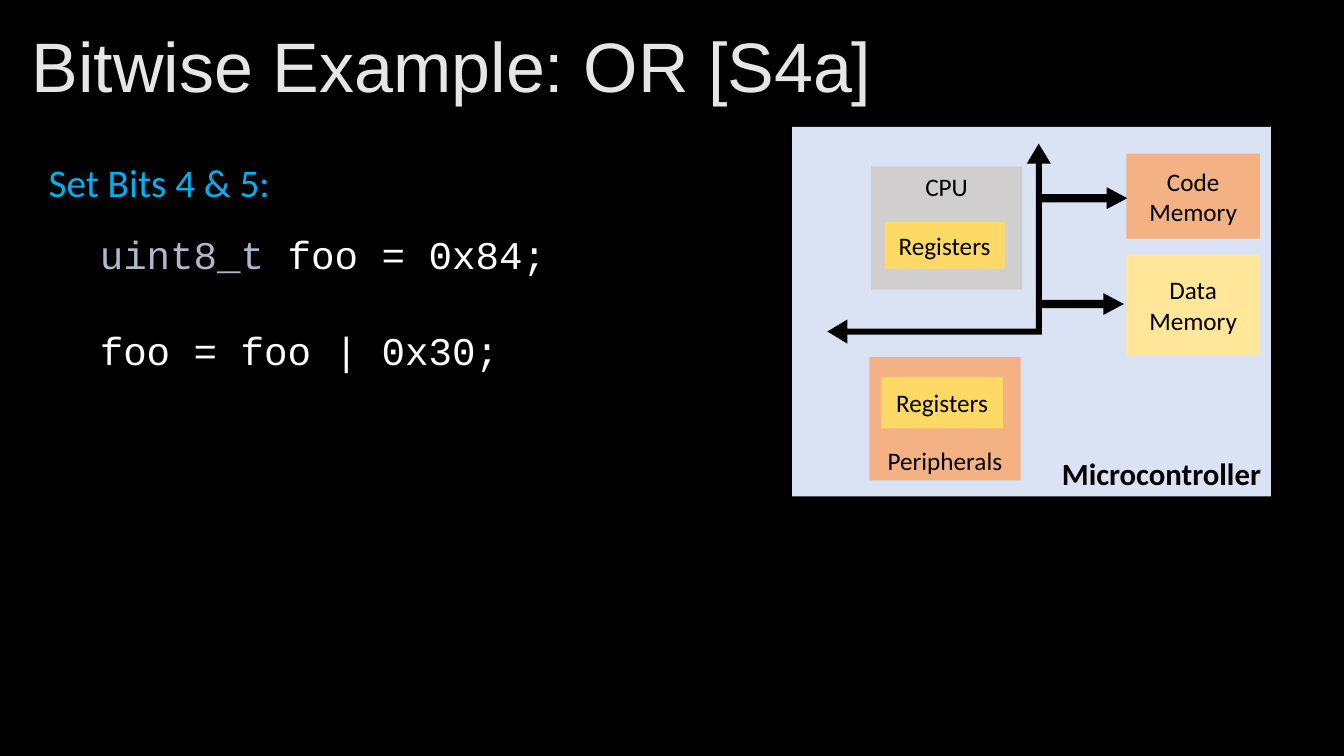
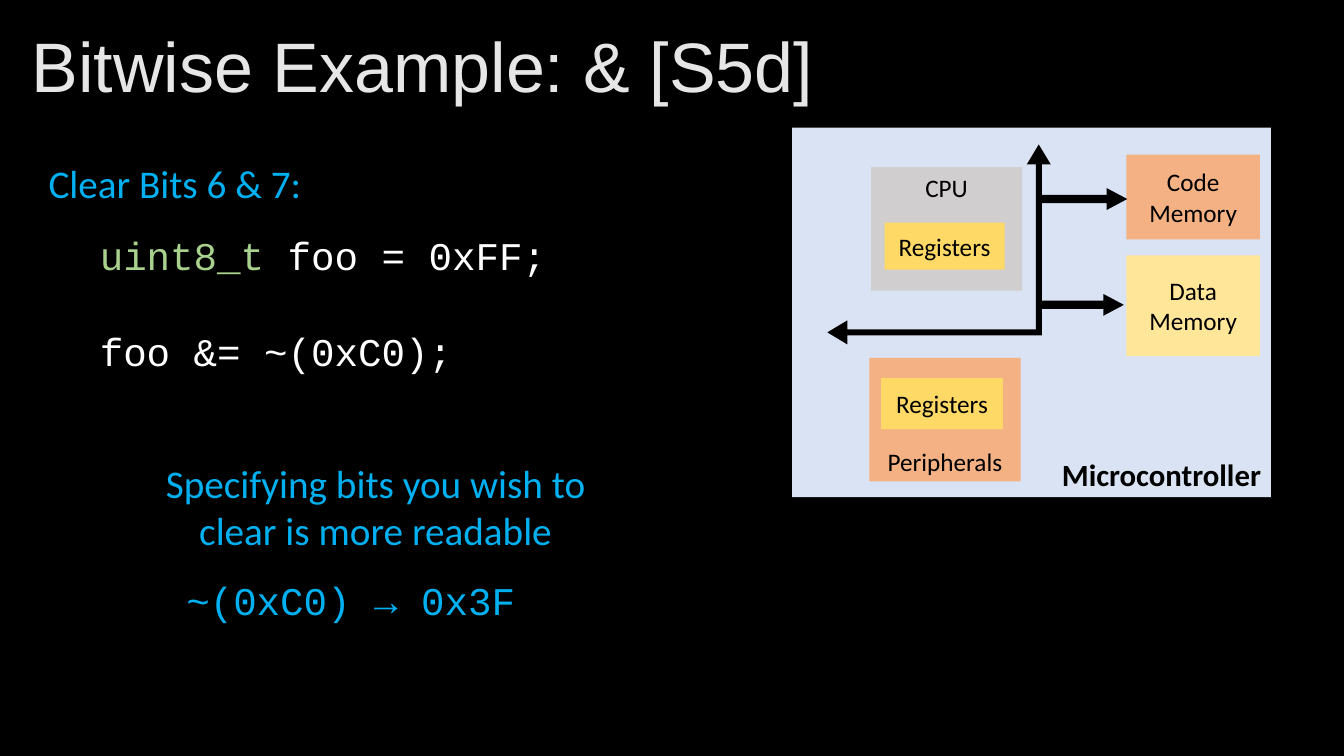
from pptx import Presentation
from pptx.dml.color import RGBColor
from pptx.enum.shapes import MSO_SHAPE
from pptx.enum.text import MSO_ANCHOR, PP_ALIGN
from pptx.util import Inches, Pt

RECT, ARROW, BUS = MSO_SHAPE.RECTANGLE, MSO_SHAPE.RIGHT_ARROW, MSO_SHAPE.LEFT_UP_ARROW
TOP, MIDDLE, BOTTOM = MSO_ANCHOR.TOP, MSO_ANCHOR.MIDDLE, MSO_ANCHOR.BOTTOM
LEFT, CENTER, RIGHT = PP_ALIGN.LEFT, PP_ALIGN.CENTER, PP_ALIGN.RIGHT

COLS, ROWS = 160, 90  # square cells, twelve to the inch
CELL = Inches(1) // 12
SANS, BODY, MONO = "Arial", "Calibri", "Courier New"
BLACK, WHITE, PALE, CYAN = "000000", "FFFFFF", "E7E6E6", "00B0F0"
PANEL, ORANGE, GRAY = "DAE3F3", "F4B183", "D0CECE"
CREAM, GOLD = "FFE699", "FFD966"
PANEL_X = 94.3


def color(text):
    return RGBColor.from_string(text)


def place(*cells):
    return [round(n * CELL) for n in cells]


def write(shape, lines, size=28, font=BODY, ink=BLACK, bold=False,
          align=LEFT, anchor=TOP, gap=0, pitch=None):
    """Fill a shape with lines, each a string or a list of (text, ink) runs."""
    frame = shape.text_frame
    frame.word_wrap = True
    frame.vertical_anchor = anchor
    for i, line in enumerate(lines):
        para = frame.add_paragraph() if i else frame.paragraphs[0]
        para.alignment = align
        para.space_before = Pt(gap if i else 0)
        if pitch:
            para.line_spacing = pitch
        for text, hue in [(line, ink)] if isinstance(line, str) else line:
            run = para.add_run()
            run.text = text
            run.font.name, run.font.size, run.font.bold = font, Pt(size), bold
            run.font.color.rgb = color(hue)


def label(slide, box, lines, **style):
    write(slide.shapes.add_textbox(*place(*box)), lines, **style)


def block(group, box, fill, text="", kind=RECT, adjust=(), **style):
    shape = group.shapes.add_shape(kind, *place(*box))
    shape.shadow.inherit = False
    shape.fill.solid()
    shape.fill.fore_color.rgb = color(fill)
    shape.line.fill.background()
    for i, value in enumerate(adjust):
        shape.adjustments[i] = value
    if text:
        write(shape, [text], **{"size": 18, "align": CENTER, "anchor": MIDDLE, **style})


def chip(slide, top):
    """Draw the microcontroller diagram from the given row down."""
    group = slide.shapes.add_group_shape()

    def part(x, y, wide, high, *args, **style):
        block(group, (PANEL_X + x, top + y, wide, high), *args, **style)

    def arrow(x, y):
        part(x, y, 10.3, 2.6, BLACK, kind=ARROW, adjust=(0.38, 0.94))

    part(0, 0, 57, 44, PANEL, "Microcontroller", size=22, bold=True,
         align=RIGHT, anchor=BOTTOM)
    part(39.8, 3.2, 15.9, 10.1, ORANGE, "Code Memory")
    part(9.4, 4.7, 18, 14.7, GRAY, "CPU", anchor=TOP)
    part(4.2, 2, 26.6, 23.8, BLACK, kind=BUS, adjust=(0.03, 0.06, 0.1))
    arrow(29.6, 7.2)
    part(9.2, 27.4, 18, 14.7, ORANGE, "Peripherals", anchor=BOTTOM)
    part(39.8, 15.2, 15.9, 12, CREAM, "Data Memory")
    arrow(29.2, 19.8)
    part(11, 11.3, 14.3, 5.6, GOLD, "Registers")
    part(10.6, 29.8, 14.5, 6.1, GOLD, "Registers")


def example(deck, title, task, code, top):
    """Add a slide with title, task, code and diagram."""
    slide = deck.slides.add_slide(deck.slide_layouts[6])
    label(slide, (2.6, 2.5, 154.7, 11.6), [title], size=50, font=SANS,
          ink=PALE, anchor=MIDDLE, pitch=0.9)
    label(slide, (10.7, top + 11.7, 56, 18), code, font=MONO, ink=WHITE, gap=35)
    chip(slide, top)
    label(slide, (4.6, top + 3.2, 36, 6.9), [task], ink=CYAN)
    return slide


def main():
    deck = Presentation()
    deck.slide_width, deck.slide_height = COLS * CELL, ROWS * CELL
    back = deck.slide_master.background.fill
    back.solid()
    back.fore_color.rgb = color(BLACK)

    example(deck, "Bitwise Example: OR [S4a]", "Set Bits 4 & 5:",
            [[("uint8_t", "ADB9CA"), (" foo = 0x84;", WHITE)],
             "foo = foo | 0x30;"], top=15.1)
    clear = example(deck, "Bitwise Example: & [S5d]", "Clear Bits 6 & 7:",
                    [[("uint8_t ", "A9D18E"), ("foo = 0xFF;", WHITE)],
                     "foo &= ~(0xC0);"], top=15.2)
    label(clear, (21, 68, 44, 6.9), ["~(0xC0) → 0x3F"], font=MONO, ink=CYAN)
    label(clear, (15.4, 54.1, 58.6, 12.5),
          ["Specifying bits you wish to clear is more readable"],
          ink=CYAN, align=CENTER)
    deck.save("out.pptx")


if __name__ == "__main__":
    main()
